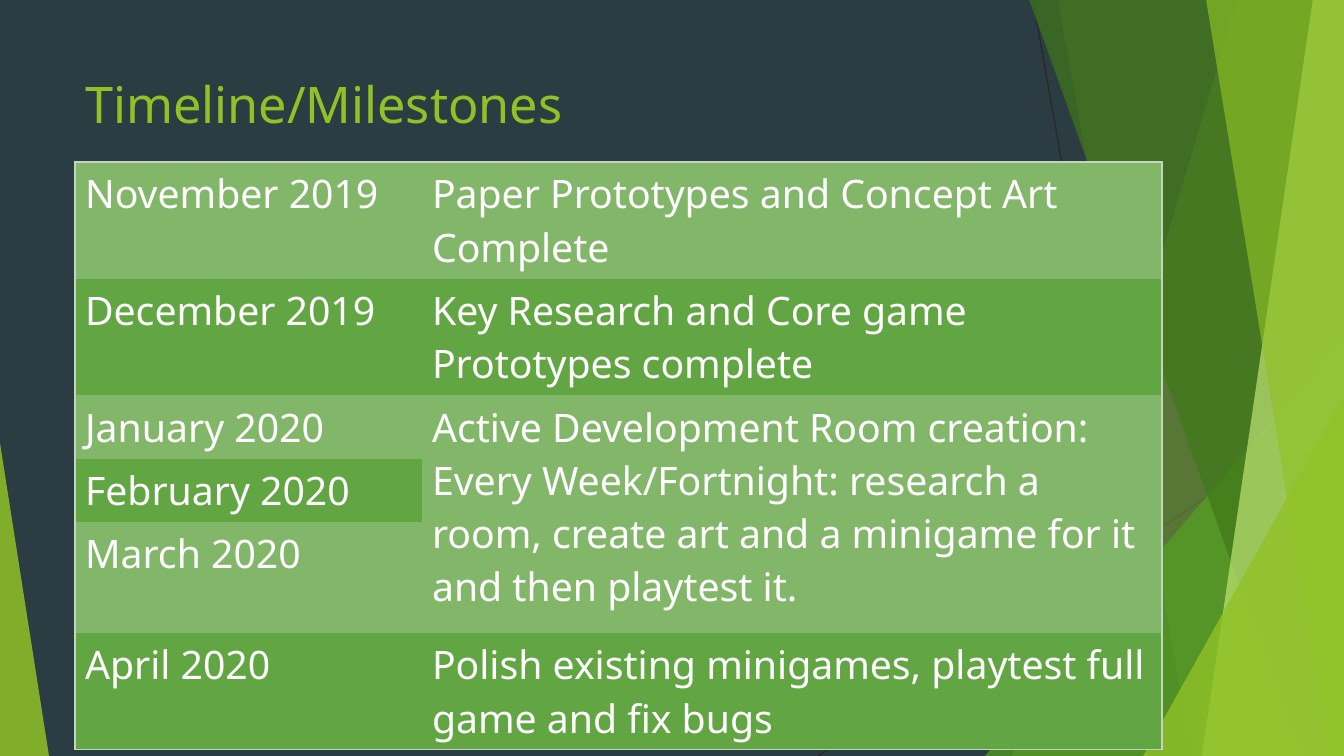
from lxml.etree import SubElement
from pptx import Presentation
from pptx.dml.color import RGBColor
from pptx.enum.shapes import MSO_CONNECTOR, MSO_SHAPE
from pptx.enum.text import MSO_ANCHOR, PP_ALIGN
from pptx.oxml import parse_xml
from pptx.oxml.ns import nsdecls, qn
from pptx.util import Pt

W, H = 1344, 756
FONT = "Noto Sans"
GREEN, DARK_ROW, LIGHT_ROW, BORDER = "90C226", "62A543", "82B769", "C3D6BD"
NO_GRID = "{2D5ABB26-0587-4C30-8999-92F81FD0307C}"
MILESTONES = [
    ("November 2019", ["Paper Prototypes and Concept Art Complete"]),
    ("December 2019", ["Key Research and Core game Prototypes complete"]),
    ("January 2020", ["Active Development Room creation:",
                      "Every Week/Fortnight: research a room, create art "
                      "and a minigame for it and then playtest it."]),
    ("February 2020", []),
    ("March 2020", []),
    ("April 2020", ["Polish existing minigames, playtest full game and fix bugs"]),
]


def px(n):
    return round(n * 12192000 / W)


def color(value):
    return RGBColor.from_string(value)


def paint(sp, value, alpha):
    sp.shadow.inherit = False
    sp.fill.solid()
    sp.fill.fore_color.rgb = color(value)
    sp.line.fill.background()
    clr = sp.fill._xPr.find(qn("a:solidFill"))[0]
    SubElement(clr, qn("a:alpha")).set("val", str(alpha * 1000))


def write(tf, lines, size, value):
    for i, text in enumerate(lines):
        p = tf.paragraphs[0] if i == 0 else tf.add_paragraph()
        p.alignment = PP_ALIGN.LEFT
        r = p.add_run()
        r.text = text
        for name, v in {"size": Pt(size), "name": FONT, "bold": False}.items():
            setattr(r.font, name, v)
        r.font.color.rgb = color(value)


def add_line(s, x1, y1, x2, y2):
    c = s.shapes.add_connector(MSO_CONNECTOR.STRAIGHT, *map(px, (x1, y1, x2, y2)))
    c.line.width = Pt(0.75)
    c.line.color.rgb = color("262626")
    SubElement(c._element.spPr, qn("a:effectLst"))


def add_band(s, top_x, bottom_x, right, bottom, value, alpha):
    fb = s.shapes.build_freeform(px(top_x), px(-1))
    corners = [(right, -1), (right, bottom), (bottom_x, bottom)]
    fb.add_line_segments([(px(x), px(y)) for x, y in corners])
    paint(fb.convert_to_shape(), value, alpha)


def add_wedge(s, left, top, right, bottom, apex, value, alpha):
    box = map(px, (left, top, right - left, bottom - top))
    sp = s.shapes.add_shape(MSO_SHAPE.ISOSCELES_TRIANGLE, *box)
    sp.adjustments[0] = apex
    paint(sp, value, alpha)


def add_backdrop(s, right, bottom):
    add_line(s, 1033, 0, 1167, bottom)
    add_line(s, right, 406, 818, bottom)
    add_band(s, 1238, 1012, right, bottom, GREEN, 30)
    add_band(s, 1058, 1192, right, bottom, GREEN, 20)
    add_wedge(s, 985, 336, right, bottom, 1, "54A021", 72)
    add_band(s, 1029, 1301, right, bottom, "3F7819", 70)
    add_band(s, 1313, 1202, right, bottom, "C0E474", 70)
    add_band(s, 1206, 1329, right, bottom, GREEN, 65)
    add_wedge(s, 1143, 396, right, bottom, 1, GREEN, 80)
    add_wedge(s, 0, 443, 49, bottom, 0, GREEN, 85)


def add_title(s, left, top, width, height):
    sp = s.shapes.title
    box = {"left": left, "top": top, "width": width, "height": height}
    for name, v in box.items():
        setattr(sp, name, px(v))
    sp.text_frame.vertical_anchor = MSO_ANCHOR.TOP
    sp.text_frame.word_wrap = True
    write(sp.text_frame, ["Timeline/Milestones"], 36, GREEN)


def add_borders(cell, sides):
    tc_pr = cell._tc.get_or_add_tcPr()
    for i, side in enumerate(sides):
        tc_pr.insert(i, parse_xml(
            f'<a:ln{side} {nsdecls("a")} w="12700"><a:solidFill>'
            f'<a:srgbClr val="{BORDER}"/></a:solidFill></a:ln{side}>'))


def add_milestones(s, left, top, width, height):
    last = len(MILESTONES) - 1
    frame = s.shapes.add_table(last + 1, 2, *map(px, (left, top, width, height)))
    table = frame.table
    table.first_row = table.horz_banding = False
    table._tbl.tblPr.find(qn("a:tableStyleId")).text = NO_GRID
    for col, w in zip(table.columns, (347, width - 347)):
        col.width = px(w)
    for row, h in zip(table.rows, (91, 91, 50, 50, 111, 91)):
        row.height = px(h)
    table.cell(2, 1).merge(table.cell(4, 1))
    for i, (month, goals) in enumerate(MILESTONES):
        for j, lines in enumerate(([month], goals)):
            cell = table.cell(i, j)
            light = i % 2 == 0 or cell.is_spanned
            cell.fill.solid()
            cell.fill.fore_color.rgb = color(LIGHT_ROW if light else DARK_ROW)
            write(cell.text_frame, lines, 28, "FFFFFF")
            add_borders(cell, "LR"[j] + "T" * (i == 0) + "B" * (i == last))


def main():
    prs = Presentation()
    prs.slide_width, prs.slide_height = px(W), px(H)
    s = prs.slides.add_slide(prs.slide_layouts[5])
    s.background.fill.solid()
    s.background.fill.fore_color.rgb = color("2C3C43")
    add_backdrop(s, W, H)
    add_title(s, 75, 68, 948, 145)
    add_milestones(s, 75, 162, 1087, 537)
    prs.save("out.pptx")


if __name__ == "__main__":
    main()
